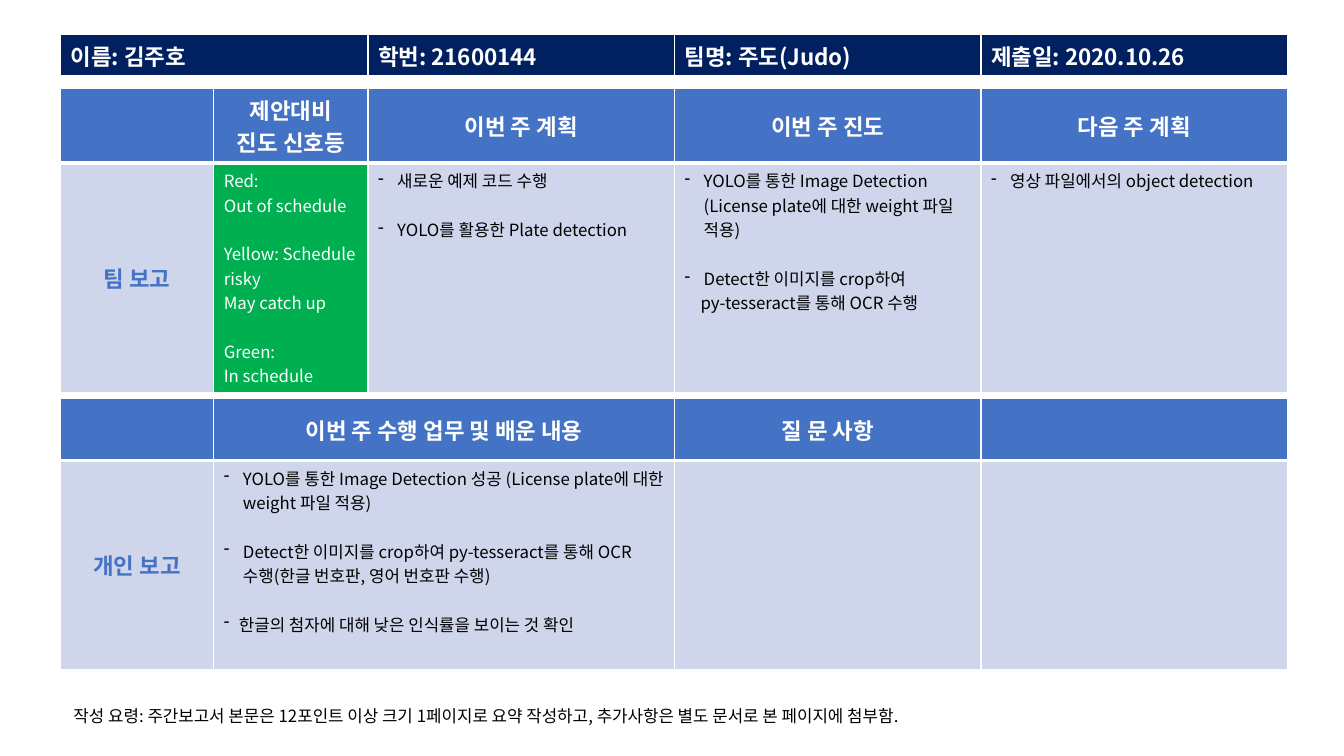
from dataclasses import dataclass

from lxml.etree import SubElement
from pptx import Presentation
from pptx.dml.color import RGBColor
from pptx.enum.text import MSO_ANCHOR, MSO_AUTO_SIZE, PP_ALIGN
from pptx.oxml.ns import qn
from pptx.util import Pt

EMU_PER_PX = 9144  # 100 px to the inch


def px(length):
    return length * EMU_PER_PX


@dataclass(frozen=True)
class Theme:
    font: str = "Noto Sans CJK KR"
    title_size: int = 16
    body_size: int = 12
    line_gap: float = 17.4
    white: str = "FFFFFF"
    black: str = "000000"
    navy: str = "002060"
    blue: str = "4472C4"
    pale: str = "CFD5EA"
    green: str = "00B050"


@dataclass(frozen=True)
class Line:
    text: str
    indent: int = 0
    bullet: bool = False
    gap: bool = False  # one empty line above


@dataclass(frozen=True)
class CellStyle:
    fill: str
    color: str
    title: bool = False
    centered: bool = False


class ReportSlide:
    def __init__(self, presentation, theme):
        self.theme = theme
        self.slide = presentation.slides.add_slide(presentation.slide_layouts[6])

    def set_lines(self, frame, lines, color, title=False, centered=False):
        theme = self.theme
        font_format = {
            "name": theme.font,
            "size": Pt(theme.title_size if title else theme.body_size),
            "bold": title,
        }
        for index, line in enumerate(lines):
            paragraph = frame.add_paragraph() if index else frame.paragraphs[0]
            paragraph.alignment = PP_ALIGN.CENTER if centered else PP_ALIGN.LEFT
            if line.gap:
                paragraph.space_before = Pt(theme.line_gap)
            if line.indent:
                self.indent(paragraph, line)
            run = paragraph.add_run()
            run.text = line.text
            for name, value in font_format.items():
                setattr(run.font, name, value)
            run.font.color.rgb = RGBColor.from_string(color)
            SubElement(run.font._element, qn("a:ea"), typeface=theme.font)

    def indent(self, paragraph, line):
        properties = paragraph._p.get_or_add_pPr()
        properties.set("marL", str(px(line.indent)))
        if line.bullet:
            properties.set("indent", str(px(-line.indent)))
            SubElement(properties, qn("a:buFontTx"))
            SubElement(properties, qn("a:buChar"), char="-")

    def borders(self, cell, bottom):
        properties = cell._tc.get_or_add_tcPr()
        for side, width in (("L", 1), ("R", 1), ("T", 1), ("B", bottom)):
            edge = SubElement(properties, qn(f"a:ln{side}"), w=str(Pt(width)))
            fill = SubElement(edge, qn("a:solidFill"))
            SubElement(fill, qn("a:srgbClr"), val=self.theme.white)

    def table(self, left, top, edges, heights, rows):
        frame = self.slide.shapes.add_table(
            len(rows), len(edges) - 1, px(left), px(top),
            px(edges[-1] - edges[0]), px(sum(heights)))
        grid = frame.table
        grid.horz_banding = False
        for column, start, end in zip(grid.columns, edges, edges[1:]):
            column.width = px(end - start)
        for r, (height, row) in enumerate(zip(heights, rows)):
            grid.rows[r].height = px(height)
            for c, (lines, style) in enumerate(row):
                cell = grid.cell(r, c)
                self.borders(cell, bottom=1 if r else 3)
                cell.fill.solid()
                cell.fill.fore_color.rgb = RGBColor.from_string(style.fill)
                cell.vertical_anchor = MSO_ANCHOR.MIDDLE if style.centered else MSO_ANCHOR.TOP
                self.set_lines(cell.text_frame, lines, style.color, style.title, style.centered)

    def note(self, left, top, width, height, text):
        box = self.slide.shapes.add_textbox(px(left), px(top), px(width), px(height))
        frame_format = {"word_wrap": False, "auto_size": MSO_AUTO_SIZE.SHAPE_TO_FIT_TEXT}
        for name, value in frame_format.items():
            setattr(box.text_frame, name, value)
        self.set_lines(box.text_frame, [Line(text)], self.theme.black)


def titles(style, *texts):
    return [([Line(part) for part in text.split("\n") if part], style) for text in texts]


def item(text, gap=False, indent=19):
    return Line(text, indent, True, gap)


def main():
    presentation = Presentation()
    presentation.slide_width, presentation.slide_height = px(1333), px(750)
    theme = Theme()
    report = ReportSlide(presentation, theme)

    identity = CellStyle(theme.navy, theme.white, title=True)
    heading = CellStyle(theme.blue, theme.white, title=True, centered=True)
    row_label = CellStyle(theme.pale, theme.blue, title=True, centered=True)
    signal = CellStyle(theme.green, theme.white)
    body = CellStyle(theme.pale, theme.black)

    # Shared column edges
    left = 60
    start, label, status, plan, progress, end = 0, 152, 305, 609, 913, 1217
    report_heights = [62, 207]

    # Author details
    report.table(left, 34, [start, status, plan, progress, end], [41], [
        titles(identity, "이름: 김주호", "학번: 21600144", "팀명: 주도(Judo)",
               "제출일: 2020.10.26"),
    ])

    # Team report
    signal_key = [
        Line("Red:"), Line("Out of schedule"),
        Line("Yellow: Schedule risky", gap=True), Line("May catch up"),
        Line("Green:", gap=True), Line("In schedule"),
    ]
    this_week_plan = [
        item("새로운 예제 코드 수행"),
        item("YOLO를 활용한 Plate detection", gap=True),
    ]
    this_week_progress = [
        item("YOLO를 통한 Image Detection (License plate에 대한 weight 파일 적용)"),
        item("Detect한 이미지를 crop하여", gap=True),
        Line("py-tesseract를 통해 OCR 수행", indent=16),
    ]
    next_week_plan = [item("영상 파일에서의 object detection")]
    report.table(left, 88, [start, label, status, plan, progress, end], report_heights, [
        titles(heading, "", "제안대비\n진도 신호등", "이번 주 계획", "이번 주 진도", "다음 주 계획"),
        titles(row_label, "팀 보고") + [
            (signal_key, signal), (this_week_plan, body),
            (this_week_progress, body), (next_week_plan, body)],
    ])

    # Personal report
    work_done = [
        item("YOLO를 통한 Image Detection 성공 (License plate에 대한 weight 파일 적용)"),
        item("Detect한 이미지를 crop하여 py-tesseract를 통해 OCR 수행"
             "(한글 번호판, 영어 번호판 수행)", gap=True),
        item("한글의 첨자에 대해 낮은 인식률을 보이는 것 확인", gap=True, indent=15),
    ]
    report.table(left, 395, [start, label, plan, progress, end], report_heights, [
        titles(heading, "", "이번 주 수행 업무 및 배운 내용", "질 문 사항", ""),
        titles(row_label, "개인 보고") + [(work_done, body), ([], body), ([], body)],
    ])

    # Writing guide
    report.note(63, 695, 912, 30,
                "작성 요령: 주간보고서 본문은 12포인트 이상 크기 1페이지로 요약 작성하고, "
                "추가사항은 별도 문서로 본 페이지에 첨부함.")

    presentation.save("out.pptx")


if __name__ == "__main__":
    main()
